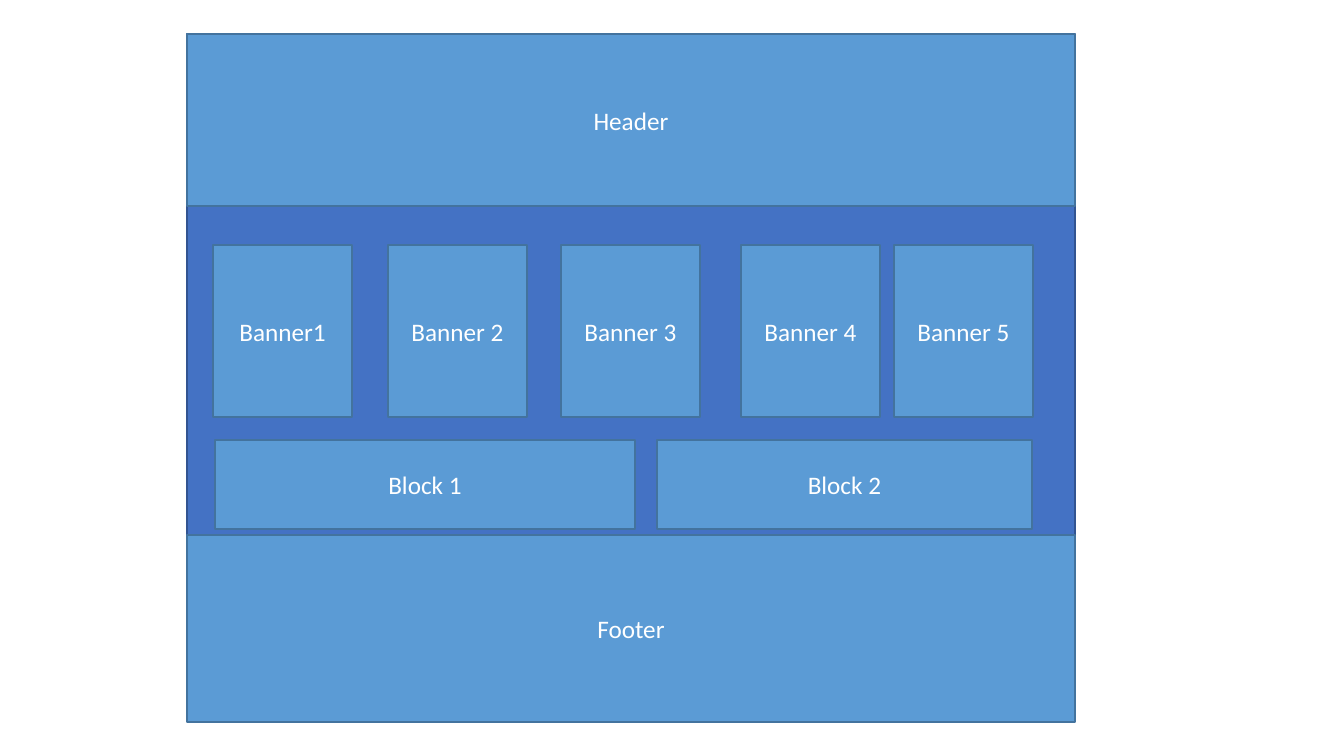
from dataclasses import dataclass

from pptx import Presentation
from pptx.dml.color import RGBColor
from pptx.enum.shapes import MSO_SHAPE
from pptx.enum.text import MSO_ANCHOR, PP_ALIGN
from pptx.util import Pt

RECT = MSO_SHAPE.RECTANGLE
MIDDLE = MSO_ANCHOR.MIDDLE
CENTER = PP_ALIGN.CENTER
SCALE = 914400 / 100.8


def emu(pixels):
    return round(pixels * SCALE)


@dataclass(frozen=True)
class Theme:
    font: str = "Calibri"
    size: int = 18
    line: int = 1
    text: str = "FFFFFF"
    page: tuple = ("4472C4", "325491")
    panel: tuple = ("5B9BD5", "43739E")


class Painter:
    def __init__(self, slide, theme):
        self.slide = slide
        self.theme = theme

    def box(self, left, top, width, height, colors):
        shape = self.slide.shapes.add_shape(
            RECT, emu(left), emu(top), emu(width), emu(height))
        fill, line = colors
        shape.shadow.inherit = False
        shape.fill.solid()
        shape.fill.fore_color.rgb = RGBColor.from_string(fill)
        shape.line.color.rgb = RGBColor.from_string(line)
        shape.line.width = Pt(self.theme.line)
        return shape

    def panel(self, text, left, top, width, height):
        frame = self.box(left, top, width, height, self.theme.panel).text_frame
        frame.word_wrap = True
        frame.vertical_anchor = MIDDLE
        para = frame.paragraphs[0]
        para.text = text
        para.alignment = CENTER
        para.font.name = self.theme.font
        para.font.size = Pt(self.theme.size)
        para.font.color.rgb = RGBColor.from_string(self.theme.text)


deck = Presentation()
deck.slide_width, deck.slide_height = emu(1344), emu(756)
theme = Theme()
paint = Painter(deck.slides.add_slide(deck.slide_layouts[6]), theme)

LEFT, TOP, WIDTH = 187, 34, 888
TALL = 172
BANNERS = [("Banner1", 213), ("Banner 2", 388), ("Banner 3", 561),
           ("Banner 4", 741), ("Banner 5", 894)]
BLOCKS = [("Block 1", 215, 420), ("Block 2", 657, 375)]

paint.box(LEFT, TOP, WIDTH, 586, theme.page)
paint.panel("Header", LEFT, TOP, WIDTH, TALL)
for text, left in BANNERS:
    paint.panel(text, left, 245, 139, TALL)
paint.panel("Footer", LEFT, 535, WIDTH, 187)
for text, left, width in BLOCKS:
    paint.panel(text, left, 440, width, 89)

deck.save("out.pptx")
